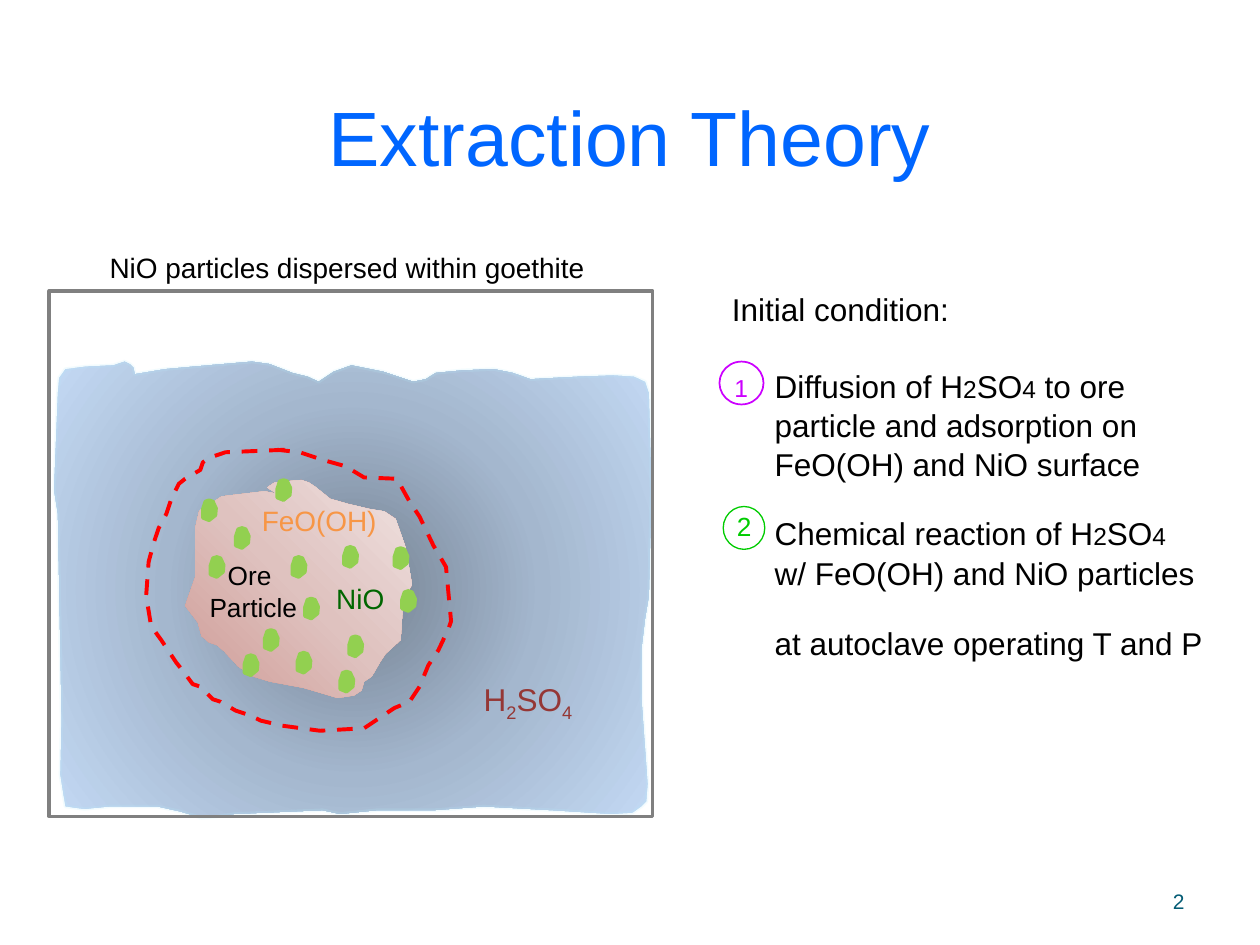
from lxml import etree
from pptx import Presentation
from pptx.dml.color import RGBColor
from pptx.enum.dml import MSO_LINE
from pptx.enum.shapes import MSO_SHAPE
from pptx.enum.text import MSO_ANCHOR, PP_ALIGN
from pptx.oxml import parse_xml
from pptx.oxml.ns import nsdecls, qn
from pptx.util import Inches, Pt

LEFT, CENTER, RIGHT = PP_ALIGN.LEFT, PP_ALIGN.CENTER, PP_ALIGN.RIGHT
TOP, MIDDLE = MSO_ANCHOR.TOP, MSO_ANCHOR.MIDDLE
OVAL, RECT = MSO_SHAPE.OVAL, MSO_SHAPE.RECTANGLE
DASH = MSO_LINE.DASH

BLACK = RGBColor(0x00, 0x00, 0x00)
BLUE = RGBColor(0x00, 0x66, 0xFF)
TEAL = RGBColor(0x04, 0x5C, 0x75)
GREEN = RGBColor(0x00, 0xCC, 0x00)
DARK_GREEN = RGBColor(0x00, 0x66, 0x00)
LIME = RGBColor(0x92, 0xD0, 0x50)
PURPLE = RGBColor(0xCC, 0x00, 0xFF)
RED = RGBColor(0xFF, 0x00, 0x00)
MAROON = RGBColor(0x95, 0x37, 0x35)
ORANGE = RGBColor(0xF7, 0x96, 0x46)
GRAY = RGBColor(0x80, 0x80, 0x80)
PALE_CYAN = RGBColor(0xB5, 0xED, 0xFD)
LIQUID_STOPS = [RGBColor(0x74, 0x81, 0x91), RGBColor(0xA4, 0xB7, 0xCE), RGBColor(0xC3, 0xD9, 0xF4)]
ORE_STOPS = [RGBColor(0xCF, 0x9A, 0x95), RGBColor(0xDF, 0xC2, 0xBF), RGBColor(0xEF, 0xE1, 0xE0)]
RADIAL = ('<a:path path="circle"><a:fillToRect l="50000" t="50000" '
          'r="50000" b="50000"/></a:path>')
DIAGONAL = '<a:lin ang="18900000" scaled="0"/>'

COLS = 100
CELL = Inches(10) / COLS


def grid(*lengths):
    return [round(n * CELL) for n in lengths]


class Canvas:
    font = "Arial"

    def __init__(self, prs):
        self.s = prs.slides.add_slide(prs.slide_layouts[6])

    def text(self, box, paragraphs, size, color, align=LEFT, anchor=TOP):
        tf = self.s.shapes.add_textbox(*grid(*box)).text_frame
        for name, value in {"word_wrap": True, "vertical_anchor": anchor}.items():
            setattr(tf, name, value)
        for i, (runs, fmt) in enumerate(paragraphs):
            p = tf.paragraphs[0] if i == 0 else tf.add_paragraph()
            for name, value in {"alignment": align, **fmt}.items():
                setattr(p, name, value)
            for words, run_size, baseline in runs:
                r = p.add_run()
                r.text = words
                values = {"name": self.font, "size": Pt(run_size or size)}
                for name, value in values.items():
                    setattr(r.font, name, value)
                r.font.color.rgb = color
                if baseline:
                    r._r.get_or_add_rPr().set("baseline", str(baseline))
        return tf

    def label(self, box, words, size, color, align=LEFT, anchor=TOP):
        lines = [([(line, None, 0)], {}) for line in words.split("\n")]
        return self.text(box, lines, size, color, align, anchor)

    def style(self, sp, fill=None, line=None, width=1, dash=None):
        sp.shadow.inherit = False
        if fill is None:
            sp.fill.background()
        else:
            sp.fill.solid()
            sp.fill.fore_color.rgb = fill
        if line is None:
            sp.line.fill.background()
        else:
            sp.line.color.rgb = line
            sp.line.width = Pt(width)
            sp.line.dash_style = dash
        return sp

    def shape(self, kind, box, **look):
        return self.style(self.s.shapes.add_shape(kind, *grid(*box)), **look)

    def outline(self, points, close=True, **look):
        start, *rest = [grid(*point) for point in points]
        builder = self.s.shapes.build_freeform(*start, scale=1.0)
        builder.add_line_segments(rest, close=close)
        return self.style(builder.convert_to_shape(), **look)

    def gradient(self, sp, stops, direction):
        gs = "".join(f'<a:gs pos="{i * 50000}"><a:srgbClr val="{c}"/></a:gs>'
                     for i, c in enumerate(stops))
        xml = f'<a:gradFill {nsdecls("a")} rotWithShape="1"><a:gsLst>{gs}</a:gsLst>{direction}</a:gradFill>'
        spPr = sp._element.spPr
        spPr.replace(spPr.find(qn("a:solidFill")), parse_xml(xml))

    def line_alpha(self, sp, percent):
        clr = sp.line._ln.find(".//" + qn("a:srgbClr"))
        etree.SubElement(clr, qn("a:alpha")).set("val", str(percent * 1000))


LIQUID = [
    (5.2, 29.3), (6.8, 29.1), (9, 29), (9.6, 28.8), (9.9, 28.7), (10.3, 28.9),
    (10.6, 29.2), (10.7, 29.7), (13.1, 29.3), (16.5, 29), (20, 28.7),
    (21.4, 28.9), (23.2, 29.6), (24.4, 29.9), (25.3, 30.3), (26.5, 29.5),
    (27.9, 29), (30.4, 29.5), (32.8, 30.3), (33.8, 30.1), (34.6, 29.6),
    (36.7, 29.4), (39.2, 29.3), (40.7, 29.6), (42.1, 30.1), (43.9, 30),
    (45.9, 29.9), (48.7, 29.8), (50.3, 29.9), (51.2, 30.3), (51.5, 31.2),
    (51.7, 39), (51.5, 47.3), (51.2, 49.1), (50.9, 51.6), (50.9, 55.3),
    (51.4, 62.2), (51.3, 63.6), (50.9, 64), (50.2, 64.5), (48.5, 64.6),
    (43.8, 64.3), (38.4, 64), (34.4, 64.3), (29.9, 64.3), (27, 64.6),
    (25.6, 64.3), (18.6, 64.6), (17.3, 64.8), (16, 64.9), (14.3, 64.4),
    (12.5, 64), (8.7, 64), (6.7, 64.2), (5.2, 64), (4.8, 61.5), (4.9, 57.2),
    (4.6, 40.8), (4.3, 38.9), (4.6, 31.2), (4.7, 30),
]
ORE = [
    (22, 39.2), (21, 39), (17.6, 39.4), (17, 39.8), (16.4, 40), (15.8, 40.6),
    (15.5, 41.9), (15.5, 45.8), (14.9, 47.5), (14.7, 48.1), (15.7, 49.4),
    (16, 50.5), (16.6, 51), (17.2, 51.2), (17.8, 51.7), (18.9, 52.9),
    (20.1, 53.7), (21.4, 54.1), (24.1, 54.6), (26.8, 55.4), (28.1, 55.2),
    (28.7, 54.8), (28.9, 54.1), (29.5, 53.7), (30.2, 52.5), (30.6, 51.9),
    (31.8, 50.8), (32, 47.7), (32.7, 46.4), (32.2, 43.5), (32, 42.9),
    (31.4, 41.2), (30.5, 40.6), (29.3, 40.4), (27.6, 40), (26.2, 39.6),
    (25.1, 38.7), (24.5, 38.3), (23.9, 38.1), (21.8, 38.3), (21.2, 38.7),
]
REACTION_FRONT = [
    (22.6, 35.7), (17.9, 35.9), (16.7, 36.3), (16.1, 36.7), (15.9, 37.3),
    (14.7, 38), (14.2, 38.4), (13.6, 39.6), (13.2, 40.8), (12.6, 41.9),
    (12.2, 43.1), (11.8, 44.6), (11.6, 47.3), (12, 49.7), (12.8, 50.8),
    (14, 52.6), (14.4, 53.1), (15.3, 54.3), (15.9, 54.5), (16.9, 55.5),
    (17.5, 55.7), (18.7, 56.4), (19.9, 56.8), (20.7, 57.2), (22.4, 57.6),
    (25.4, 58), (28.9, 57.8), (30.1, 57), (31.3, 56.2), (32.5, 55.7),
    (33.3, 54.5), (34, 52.8), (34.8, 51.6), (35.6, 49.9), (35.8, 49.3),
    (35.4, 45), (34.4, 43.3), (33.3, 41), (32.5, 39.8), (31.5, 38),
    (28.9, 37.9), (27.4, 37), (25.6, 36.5), (23.8, 35.9), (22, 35.7),
]
DROP = [(0.3, 0.1), (0.1, 0.7), (0.1, 1.4), (0.6, 1.6), (1.1, 1.2),
        (1.15, 0.65), (0.9, 0.1), (0.6, 0)]
DROPS = [
    (31.8, 46.9), (18.6, 41.9), (23.1, 44.2), (26.9, 53.3), (27.6, 50.5),
    (19.3, 52), (24.1, 47.5), (16.6, 44.2), (23.5, 51.8), (27.2, 43.4),
    (31.2, 43.5), (16, 39.7), (20.9, 50), (21.9, 38.1),
]


def acid(before, after, small=None, baseline=0):
    return [(before + "H", None, 0), ("2", small, baseline), ("SO", None, 0),
            ("4", small, baseline)] + ([(after, None, 0)] if after else [])


prs = Presentation()
prs.slide_width, prs.slide_height = Inches(10), Inches(7.5)
c = Canvas(prs)

c.label((5, 6, 90, 9.5), "Extraction Theory", 44, BLUE, CENTER, MIDDLE)
c.label((71.7, 69.5, 23.3, 4), "2", 12, TEAL, RIGHT, MIDDLE)

LINES = [
    ([("Initial condition:", None, 0)], 0),
    (acid("Diffusion of ", " to ore", 14), 21.5),
    ([("particle and adsorption on", None, 0)], 0),
    ([("FeO(OH) and NiO surface", None, 0)], 0),
    (acid("Chemical reaction of ", "", 14), 17),
    ([("w/ FeO(OH) and NiO particles", None, 0)], 0),
    ([("at autoclave operating T and P", None, 0)], 18),
]
steps = c.text((57.1, 22.4, 40.2, 27.6),
               [(runs, {"space_before": Pt(gap), "line_spacing": 1.04}) for runs, gap in LINES],
               18, BLACK)
for p in steps.paragraphs[1:]:
    p._p.get_or_add_pPr().set("marL", str(grid(3.4)[0]))

for number, ring, box, size, color, width in [
    ("1", (57.1, 28.7, 3.5, 3.4), (57.3, 29.1, 3.4, 3.8), 14, PURPLE, 1),
    ("2", (57.4, 40.2, 3.3, 3.4), (57.5, 40, 3.4, 4), 15, GREEN, 0.75),
]:
    c.shape(OVAL, ring, line=color, width=width)
    c.label(box, number, size, color)

liquid = c.outline(LIQUID, fill=LIQUID_STOPS[0], line=PALE_CYAN, width=2)
c.gradient(liquid, LIQUID_STOPS, RADIAL)
c.line_alpha(liquid, 17)
c.shape(RECT, (3.9, 23.1, 47.9, 41.7), line=GRAY, width=2)
ore = c.outline(ORE, fill=ORE_STOPS[0])
c.gradient(ore, ORE_STOPS, DIAGONAL)
c.outline(REACTION_FRONT, close=False, line=RED, width=2.25, dash=DASH)
for x, y in DROPS:
    c.outline([(x + dx, y + dy) for dx, dy in DROP], fill=LIME, line=LIME, width=2)

c.label((13.2, 43.9, 13.8, 6.1), "Ore \nParticle", 15, BLACK, CENTER)
c.label((25.7, 45.7, 6.9, 3.7), "NiO", 16, DARK_GREEN)
c.label((19.8, 39.5, 12.6, 3.7), "FeO(OH)", 16, ORANGE)
c.text((37.4, 53.5, 13.4, 4), [(acid("", "", baseline=-25000), {})], 18, MAROON)
c.label((4.3, 19.4, 46.5, 3.7), "NiO particles dispersed within goethite", 16, BLACK, CENTER)

prs.save("out.pptx")
